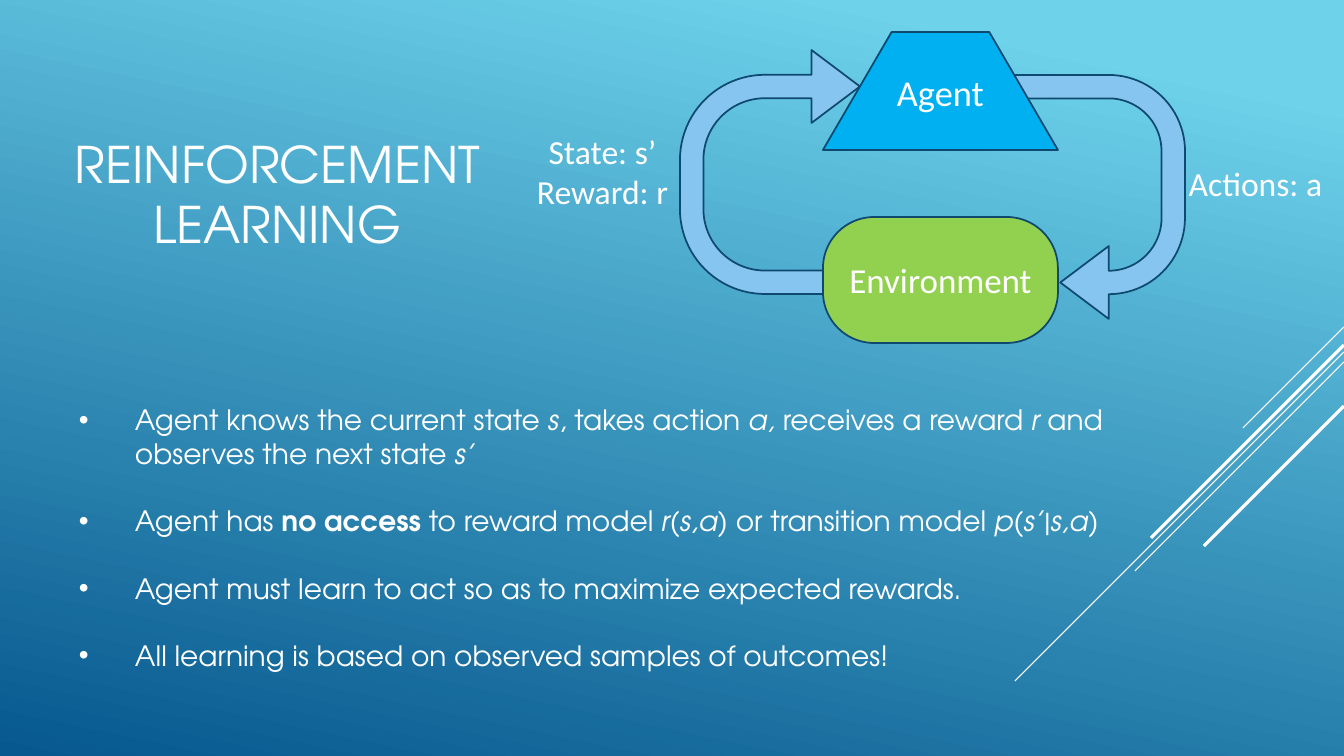
from dataclasses import dataclass

from lxml.etree import SubElement
from pptx import Presentation
from pptx.dml.color import RGBColor
from pptx.enum.shapes import MSO_CONNECTOR as Connector, MSO_SHAPE as Preset
from pptx.enum.text import MSO_ANCHOR as Anchor, PP_ALIGN as Align
from pptx.oxml.ns import qn
from pptx.util import Emu, Pt

EMU_PER_PIXEL = 914400 / 100.8


@dataclass(frozen=True)
class Theme:
    sky: str = "6ED2EB"
    deep: str = "06588E"
    white: str = "FFFFFF"
    arrow: str = "86C5EF"
    outline: str = "0F496F"
    agent: str = "00B0F0"
    environment: str = "92D050"
    display_font: str = "TeX Gyre Adventor"
    diagram_font: str = "Calibri"
    title_size: int = 36
    body_size: int = 20
    label_size: int = 24
    environment_size: int = 25
    agent_size: int = 26
    paragraph_gap: int = 24
    outline_width: float = 1.25


@dataclass(frozen=True)
class Box:
    left: int
    top: int
    width: int
    height: int

    def inner(self, left, top, width, height):
        return Box(self.left + left, self.top + top, width, height)

    def lengths(self):
        return [px(value) for value in (self.left, self.top, self.width, self.height)]


THEME = Theme()
BULLETS = [
    [("Agent knows the current state ", ""), ("s", "italic"), (", takes action ", ""),
     ("a,", "italic"), (" receives a reward", ""), (" r ", "italic"),
     ("and observes the next state ", ""), ("s’", "italic")],
    [("Agent has ", ""), ("no access", "bold"), (" to reward model ", ""),
     ("r(s,a)", "italic"), (" or transition model ", ""), ("p(s’|s,a)", "italic")],
    [("Agent must learn to act so as to maximize expected rewards.", "")],
    [("All learning is based on observed samples of outcomes!", "")],
]


def px(value):
    return Emu(round(value * EMU_PER_PIXEL))


def color(value):
    return RGBColor.from_string(value)


def apply(target, values):
    for name, value in values.items():
        setattr(target, name, value)


def add_run(paragraph, text, font, size, style=""):
    run = paragraph.add_run()
    run.text = text
    values = {"name": font, "size": Pt(size)}
    if style:
        values[style] = True
    apply(run.font, values)
    run.font.color.rgb = color(THEME.white)


def write_lines(frame, lines, font, size):
    for index, line in enumerate(lines):
        paragraph = frame.add_paragraph() if index else frame.paragraphs[0]
        paragraph.alignment = Align.CENTER
        add_run(paragraph, line, font, size)


def add_text_box(slide, box, anchor=Anchor.TOP):
    frame = slide.shapes.add_textbox(*box.lengths()).text_frame
    apply(frame, {"word_wrap": True, "vertical_anchor": anchor})
    return frame


def add_preset(slide, preset, box, fill, adjustments, rotation=0):
    shape = slide.shapes.add_shape(preset, *box.lengths())
    shape.rotation = rotation
    shape.shadow.inherit = False
    shape.fill.solid()
    shape.fill.fore_color.rgb = color(fill)
    shape.line.color.rgb = color(THEME.outline)
    shape.line.width = Pt(THEME.outline_width)
    for index, value in enumerate(adjustments):
        shape.adjustments[index] = value
    return shape


def paint_background(slide):
    fill = slide.background.fill
    fill.gradient()
    fill.gradient_angle = 258
    for stop, position, shade in zip(fill.gradient_stops, (0.1, 1), (THEME.sky, THEME.deep)):
        stop.position = position
        stop.color.rgb = color(shade)


def draw_streaks(slide, box):
    right = box.left + box.width
    for offset, reach, weight in [(0, 101, 0.75), (25, 329, 0.75), (35, 209, 0.75),
                                  (18, 193, 2.25), (79, 140, 2.25)]:
        top = box.top + offset
        line = slide.shapes.add_connector(
            Connector.STRAIGHT, px(right), px(top), px(right - reach), px(top + reach))
        line.line.color.rgb = color(THEME.white)
        line.line.width = Pt(weight)
        SubElement(line._element.spPr, qn("a:effectLst"))


def draw_title(slide, box):
    frame = add_text_box(slide, box, Anchor.BOTTOM)
    write_lines(frame, ["REINFORCEMENT LEARNING"], THEME.display_font, THEME.title_size)


def draw_bullets(slide, box, indent=56):
    frame = add_text_box(slide, box)
    for index, runs in enumerate(BULLETS):
        paragraph = frame.add_paragraph() if index else frame.paragraphs[0]
        if index:
            paragraph.space_before = Pt(THEME.paragraph_gap)
        properties = paragraph._p.get_or_add_pPr()
        properties.set("marL", str(px(indent)))
        properties.set("indent", str(-px(indent)))
        SubElement(properties, qn("a:buFont"), typeface="Arial")
        SubElement(properties, qn("a:buChar"), char="•")
        for text, style in runs:
            add_run(paragraph, text, THEME.display_font, THEME.body_size, style)


def draw_cycle(slide, box):
    for left, top, rotation, reach in [(141, 43, 270, 0.928), (452, 68, 90, 0.643)]:
        add_preset(slide, Preset.U_TURN_ARROW, box.inner(left, top, 244, 194), THEME.arrow,
                   [0.121, 0.188, 0.25, 0.438, reach], rotation)

    environment = add_preset(slide, Preset.ROUNDED_RECTANGLE, box.inner(309, 185, 235, 126),
                             THEME.environment, [0.406])
    environment.text_frame.vertical_anchor = Anchor.MIDDLE
    write_lines(environment.text_frame, ["Environment"],
                THEME.diagram_font, THEME.environment_size)

    agent = add_preset(slide, Preset.TRAPEZOID, box.inner(309, 0, 235, 118),
                       THEME.agent, [0.582])
    apply(agent.text_frame, {"vertical_anchor": Anchor.TOP, "margin_top": px(15)})
    write_lines(agent.text_frame, ["Agent"], THEME.diagram_font, THEME.agent_size)

    for bounds, lines in [((653, 126, 177, 50), ["Actions: a"]),
                          ((0, 94, 177, 92), ["State: s’", "Reward: r"])]:
        frame = add_text_box(slide, box.inner(*bounds))
        write_lines(frame, lines, THEME.diagram_font, THEME.label_size)


def main():
    presentation = Presentation()
    apply(presentation, {"slide_width": px(1344), "slide_height": px(756)})
    slide = presentation.slides.add_slide(presentation.slide_layouts[6])
    paint_background(slide)
    draw_streaks(slide, Box(1015, 327, 329, 354))
    draw_title(slide, Box(41, 116, 473, 143))
    draw_bullets(slide, Box(69, 398, 1156, 281))
    draw_cycle(slide, Box(514, 32, 830, 311))
    presentation.save("out.pptx")


main()
